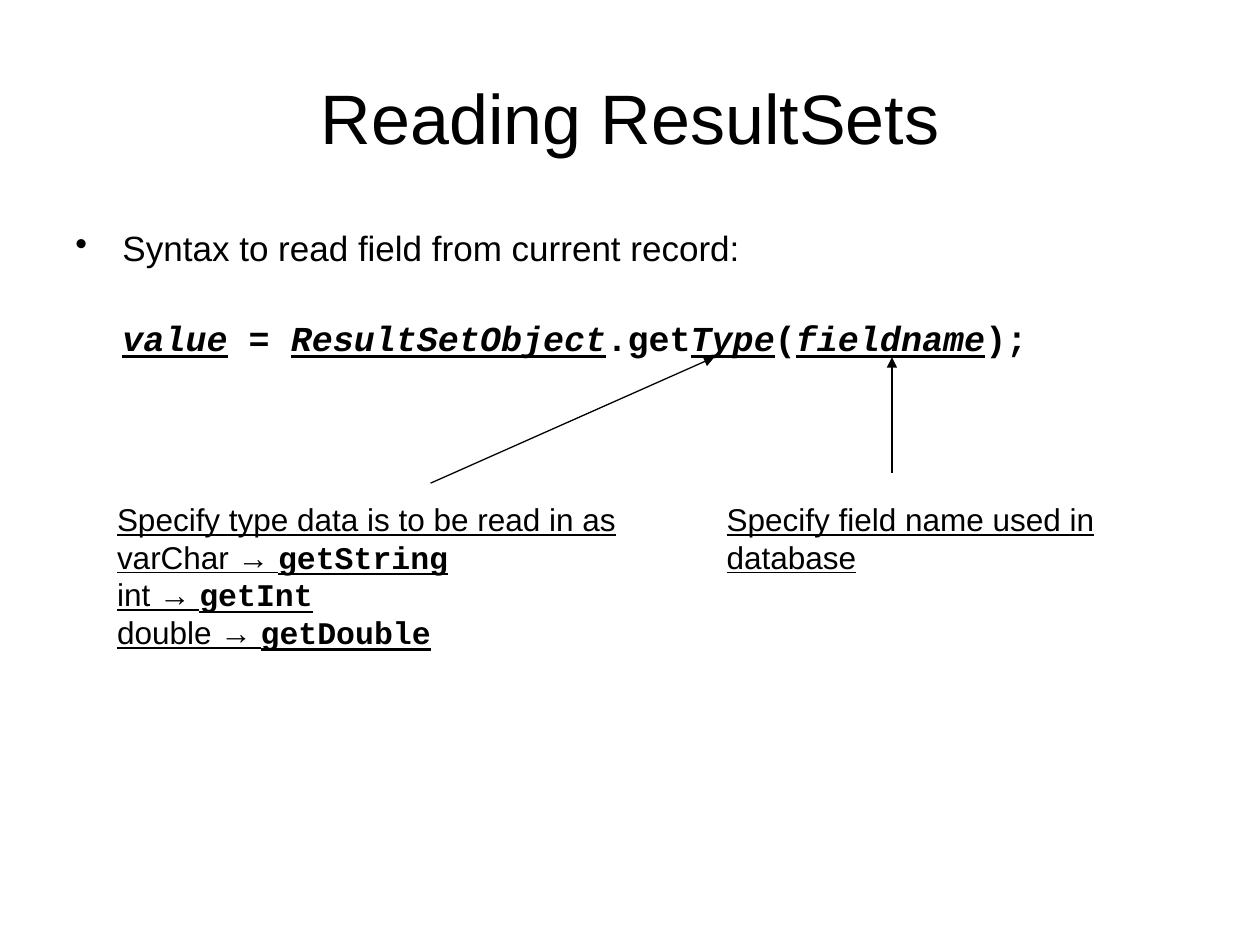
from dataclasses import dataclass
from typing import Optional

from lxml.etree import SubElement
from pptx import Presentation
from pptx.dml.color import RGBColor
from pptx.enum.shapes import MSO_CONNECTOR
from pptx.enum.text import MSO_ANCHOR, PP_ALIGN
from pptx.oxml.ns import qn
from pptx.util import Cm, Pt

COLORS = {"text": "000000", "line": "000000", "background": "FFFFFF"}
SANS, MONO = "Arial", "Courier New"
LINE_RATIO = 1.2


@dataclass
class Span:
    text: str
    font: str = SANS
    bold: bool = False
    italic: bool = False
    underline: bool = False


@dataclass
class Para:
    spans: list[Span]
    before: float = 0
    indent: float = 0
    bullet: Optional[str] = None


@dataclass
class Box:
    left: float
    top: float
    width: float
    height: float
    size: float
    paras: list[Para]
    align: PP_ALIGN = PP_ALIGN.LEFT
    anchor: MSO_ANCHOR = MSO_ANCHOR.TOP


@dataclass
class Arrow:
    x1: float
    y1: float
    x2: float
    y2: float


def rgb(name: str) -> RGBColor:
    return RGBColor.from_string(COLORS[name])


def literal(text: str) -> Span:
    return Span(text, MONO, bold=True)


def variable(text: str) -> Span:
    return Span(text, MONO, bold=True, italic=True, underline=True)


def note(text: str, getter: str = "") -> Para:
    spans = [Span(text, underline=True)]
    if getter:
        spans.append(Span(getter, MONO, bold=True, underline=True))
    return Para(spans)


def add_box(s, box: Box) -> None:
    sp = s.shapes.add_textbox(Cm(box.left), Cm(box.top), Cm(box.width), Cm(box.height))
    tf = sp.text_frame
    tf.word_wrap = True
    tf.vertical_anchor = box.anchor
    for i, para in enumerate(box.paras):
        p = tf.add_paragraph() if i else tf.paragraphs[0]
        p.alignment = box.align
        p.line_spacing = Pt(box.size * LINE_RATIO)
        p.space_before = Pt(para.before)
        pPr = p._p.get_or_add_pPr()
        if para.indent:
            pPr.set("marL", str(Cm(para.indent)))
        if para.bullet:
            pPr.set("indent", str(-Cm(para.indent)))
            SubElement(pPr, qn("a:buChar")).set("char", para.bullet)
        for span in para.spans:
            r = p.add_run()
            r.text = span.text
            r.font.name = span.font
            r.font.size = Pt(box.size)
            r.font.bold = span.bold
            r.font.italic = span.italic
            r.font.underline = span.underline
            r.font.color.rgb = rgb("text")


def add_arrow(s, arrow: Arrow) -> None:
    sp = s.shapes.add_connector(
        MSO_CONNECTOR.STRAIGHT,
        Cm(arrow.x1), Cm(arrow.y1), Cm(arrow.x2), Cm(arrow.y2),
    )
    sp.line.color.rgb = rgb("line")
    sp.line.width = Pt(0.75)
    SubElement(sp.line._get_or_add_ln(), qn("a:tailEnd")).set("type", "triangle")
    SubElement(sp._element.spPr, qn("a:effectLst"))


SYNTAX = [
    variable("value"), literal(" = "), variable("ResultSetObject"), literal(".get"),
    variable("Type"), literal("("), variable("fieldname"), literal(");"),
]

BOXES = [
    Box(1.27, 0.76, 22.86, 3.18, 40, [Para([Span("Reading ResultSets")])],
        PP_ALIGN.CENTER, MSO_ANCHOR.MIDDLE),
    Box(1.27, 4.45, 22.86, 3.38, 20, [
        Para([Span("Syntax to read field from current record:")], indent=0.95, bullet="•"),
        Para(SYNTAX, before=27, indent=0.95),
    ]),
    Box(14.4, 9.95, 9.53, 1.78, 18, [note("Specify field name used in database")]),
    Box(2.11, 9.95, 11, 3.3, 18, [
        note("Specify type data is to be read in as"),
        note("varChar → ", "getString"),
        note("int → ", "getInt"),
        note("double → ", "getDouble"),
    ]),
]

ARROWS = [Arrow(17.98, 9.53, 17.98, 7.2), Arrow(8.68, 9.74, 14.4, 7.2)]


def main() -> None:
    prs = Presentation()
    prs.slide_width, prs.slide_height = Cm(25.4), Cm(19.05)
    s = prs.slides.add_slide(prs.slide_layouts[6])
    s.background.fill.solid()
    s.background.fill.fore_color.rgb = rgb("background")
    for box in BOXES:
        add_box(s, box)
    for arrow in ARROWS:
        add_arrow(s, arrow)
    prs.save("out.pptx")


if __name__ == "__main__":
    main()
